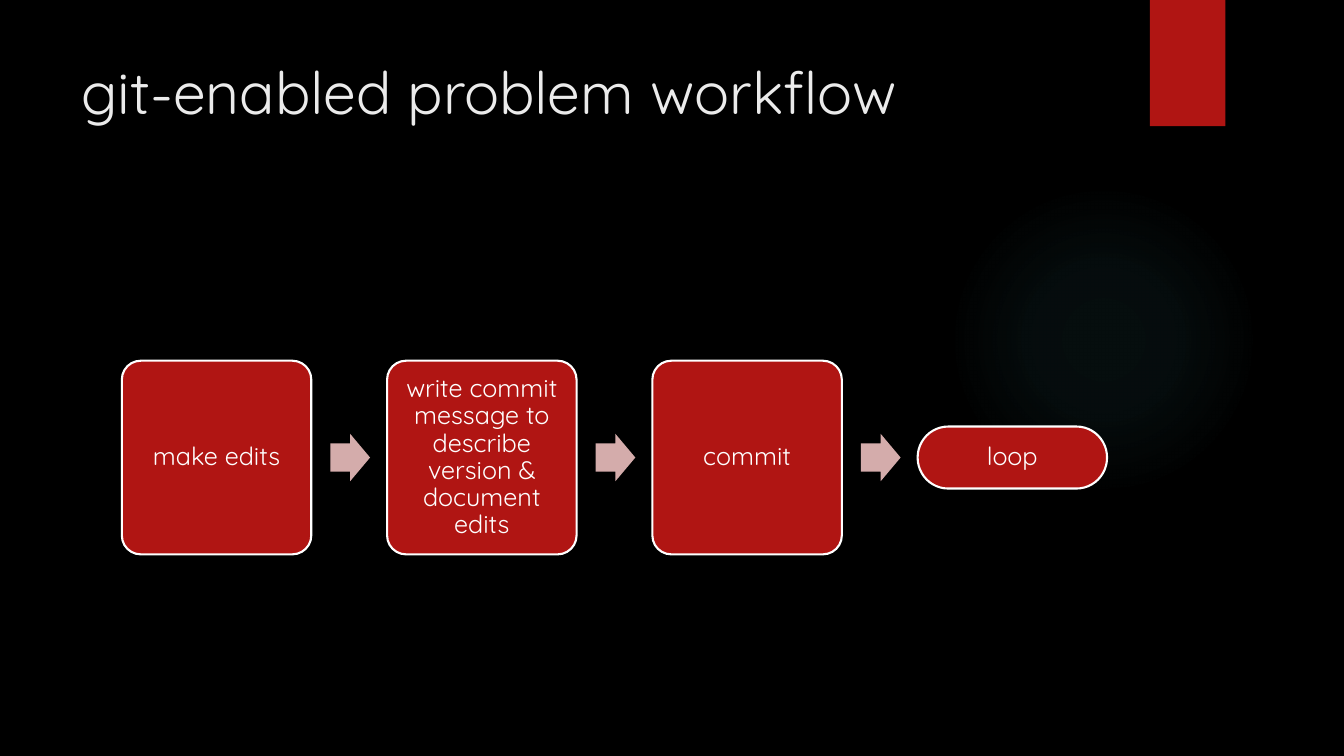
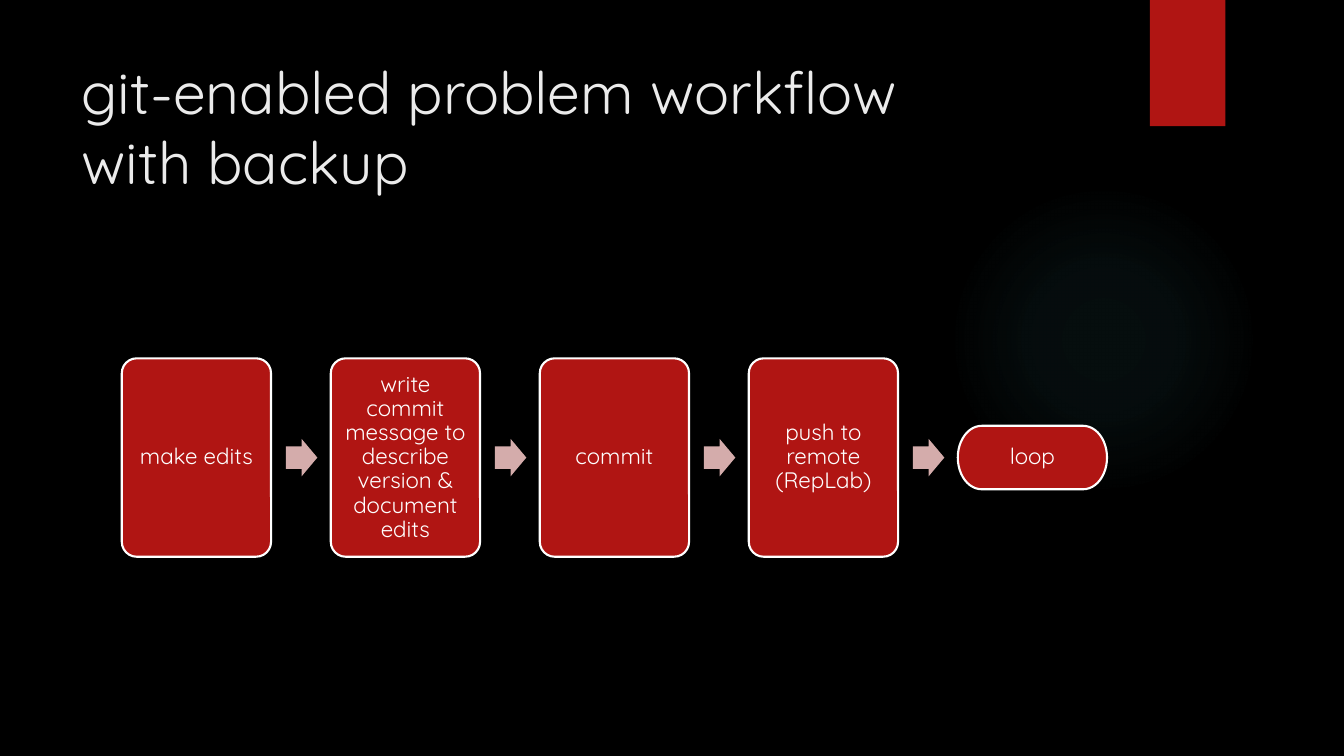
from dataclasses import dataclass
from typing import Any

from pptx import Presentation
from pptx.dml.color import RGBColor
from pptx.enum.shapes import MSO_SHAPE as Kind
from pptx.enum.text import MSO_ANCHOR as Anchor, PP_ALIGN as Align
from pptx.oxml import parse_xml
from pptx.oxml.ns import nsdecls, qn
from pptx.util import Cm, Pt

BLACK, RED, PINK = "000000", "B01513", "D4ACAB"
WHITE, PALE, TEAL = "FFFFFF", "EBEBEB", "50B9C1"
FONT = "Quicksand"

# Flow layout in cm; gaps and arrows are shares of the box width.
LEFT, SPAN, MID = 3.07, 24.83, 11.53
PITCH, START = 1.4, 1.1
HEAD_W, HEAD_H = 0.21, 0.25
LOOP_H = 0.32

BOX_TEXT = {
    "word_wrap": True,
    "vertical_anchor": Anchor.MIDDLE,
    "margin_left": Cm(0.18),
    "margin_right": Cm(0.18),
    "margin_top": Cm(0.18),
    "margin_bottom": Cm(0.18),
}
BOX_PARA = {"alignment": Align.CENTER, "line_spacing": 0.9}
TITLE_TEXT = {"word_wrap": True, "vertical_anchor": Anchor.TOP}


@dataclass(frozen=True)
class Area:
    left: float
    top: float
    width: float
    height: float

    def cm(self) -> tuple[Cm, Cm, Cm, Cm]:
        return Cm(self.left), Cm(self.top), Cm(self.width), Cm(self.height)


@dataclass(frozen=True)
class Flow:
    title: str
    steps: tuple[str, ...]
    height: float
    size: int


GLOW = Area(23.9, 4.65, 7.82, 7.82)
RIBBON = Area(28.98, 0, 1.9, 3.18)
TITLE = Area(1.8, 1.27, 26.14, 3.89)

EDIT = "make edits"
WRITE = "write commit message to describe version & document edits"
FLOWS = (
    Flow("git-enabled problem workflow",
         (EDIT, WRITE, "commit", "loop"), 4.88, 18),
    Flow("git-enabled problem workflow\vwith backup",
         (EDIT, WRITE, "commit", "push to remote (RepLab)", "loop"), 5, 16),
)


def color(code: str) -> RGBColor:
    return RGBColor.from_string(code)


def apply(target: Any, values: dict[str, Any]) -> None:
    for name, value in values.items():
        setattr(target, name, value)


def write(shape: Any, text: str, size: int, code: str,
          frame: dict[str, Any], para: dict[str, Any]) -> None:
    box = shape.text_frame
    box.text = text
    apply(box, frame)
    line = box.paragraphs[0]
    apply(line, para)
    for run in line.runs:
        apply(run.font, {"name": FONT, "size": Pt(size)})
        run.font.color.rgb = color(code)


def draw(slide: Any, kind: Kind, area: Area, code: str = "",
         edge: str = "", adjust: tuple[float, ...] = ()) -> Any:
    """Add a flat shape; an empty colour means no fill or no line."""
    shape = slide.shapes.add_shape(kind, *area.cm())
    shape.shadow.inherit = False
    for index, value in enumerate(adjust):
        shape.adjustments[index] = value
    if code:
        shape.fill.solid()
        shape.fill.fore_color.rgb = color(code)
    else:
        shape.fill.background()
    if edge:
        shape.line.color.rgb = color(edge)
        shape.line.width = Pt(1.5)
    else:
        shape.line.fill.background()
    return shape


def add_glow(slide: Any) -> None:
    """Add a faint disc that fades out from its centre."""
    props = draw(slide, Kind.OVAL, GLOW)._element.spPr
    stops = "".join(
        f'<a:gs pos="{place * 1000}"><a:srgbClr val="{TEAL}">'
        f'<a:alpha val="{alpha * 1000}"/></a:srgbClr></a:gs>'
        for place, alpha in ((0, 7), (36, 6), (69, 0))
    )
    fade = parse_xml(
        f'<a:gradFill {nsdecls("a")} rotWithShape="1">'
        f'<a:gsLst>{stops}</a:gsLst><a:path path="circle">'
        '<a:fillToRect l="50000" t="50000" r="50000" b="50000"/>'
        '</a:path></a:gradFill>'
    )
    props.replace(props.find(qn("a:noFill")), fade)


def add_frame(slide: Any, title: str) -> None:
    """Add the parts that every slide shares."""
    add_glow(slide)
    draw(slide, Kind.RECTANGLE, RIBBON, RED)
    box = slide.shapes.add_textbox(*TITLE.cm())
    write(box, title, 42, PALE, TITLE_TEXT, {})


def add_flow(slide: Any, flow: Flow) -> None:
    last = len(flow.steps) - 1
    width = SPAN / (1 + PITCH * last)
    for index, text in enumerate(flow.steps):
        left = LEFT + index * PITCH * width
        if index < last:
            kind, tall, adjust = Kind.ROUNDED_RECTANGLE, flow.height, (0.1,)
        else:
            kind, tall, adjust = (
                Kind.FLOWCHART_TERMINATOR, flow.height * LOOP_H, ())
        area = Area(left, MID - tall / 2, width, tall)
        step = draw(slide, kind, area, RED, WHITE, adjust)
        write(step, text, flow.size, WHITE, BOX_TEXT, BOX_PARA)
        if index < last:
            tall = HEAD_H * width
            area = Area(left + START * width, MID - tall / 2,
                        HEAD_W * width, tall)
            draw(slide, Kind.RIGHT_ARROW, area, PINK, adjust=(0.6, 0.5))


def main() -> None:
    deck = Presentation()
    apply(deck, {"slide_width": Cm(33.87), "slide_height": Cm(19.05)})
    back = deck.slide_master.background.fill
    back.solid()
    back.fore_color.rgb = color(BLACK)
    for flow in FLOWS:
        slide = deck.slides.add_slide(deck.slide_layouts[6])
        add_frame(slide, flow.title)
        add_flow(slide, flow)
    deck.save("out.pptx")


if __name__ == "__main__":
    main()
